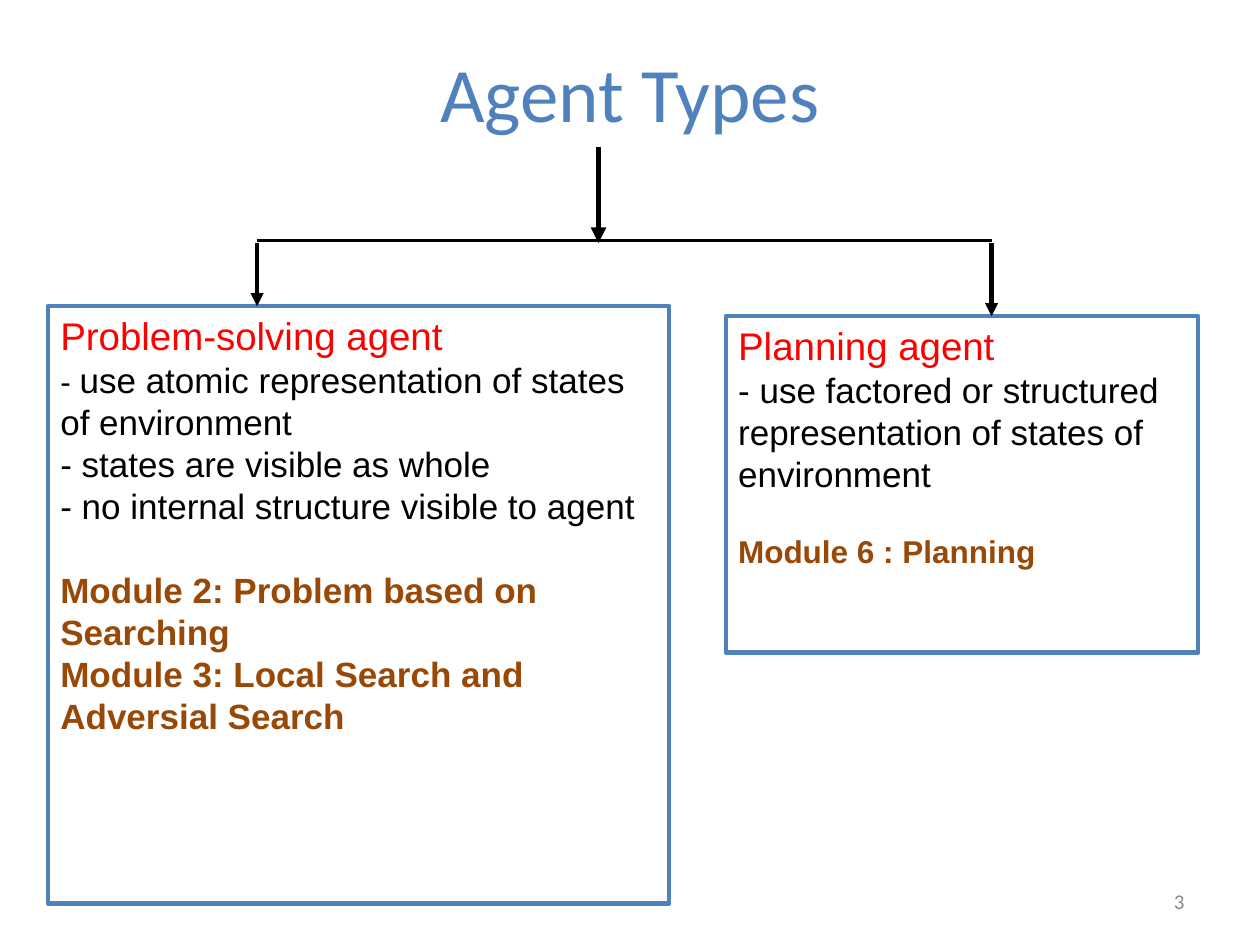
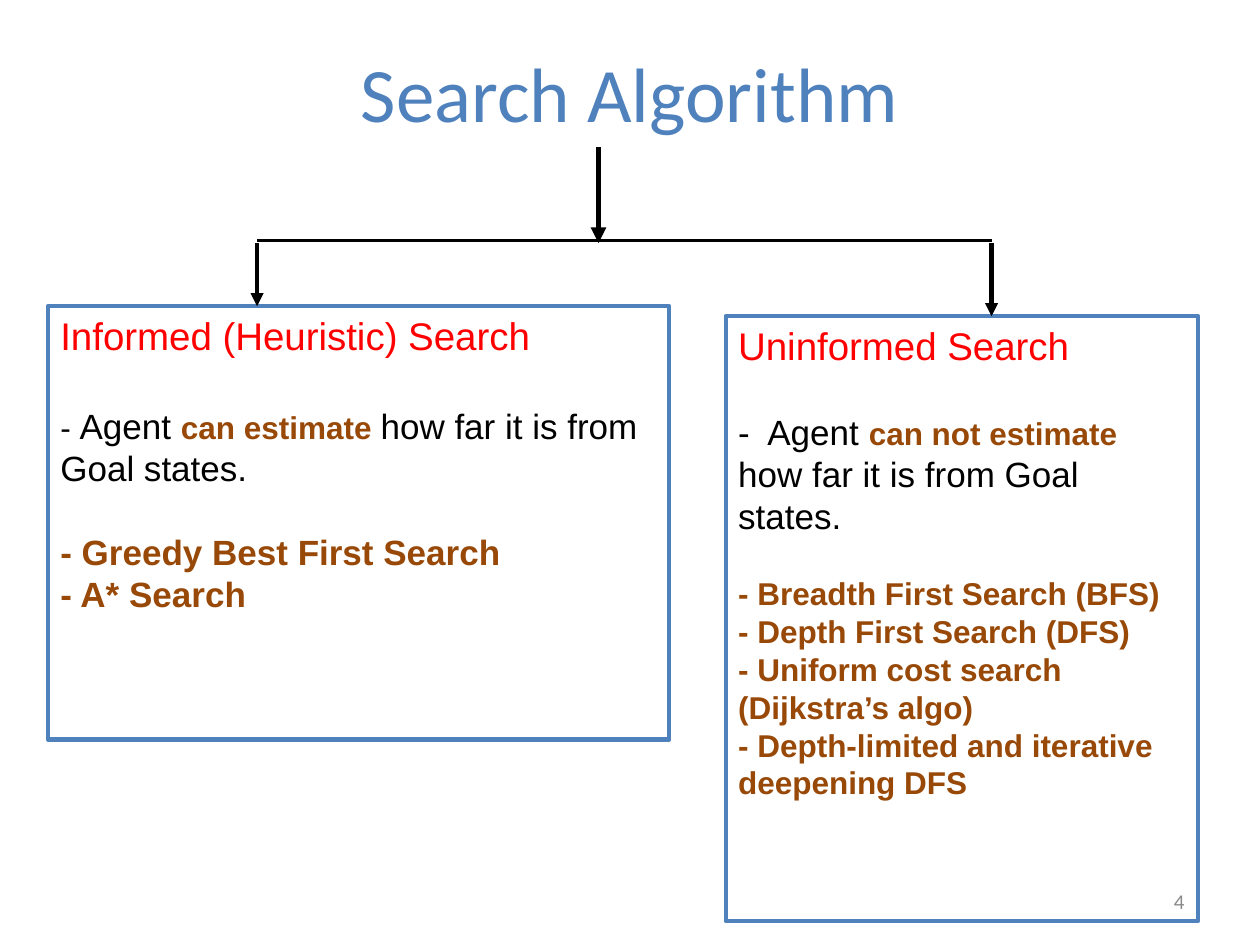
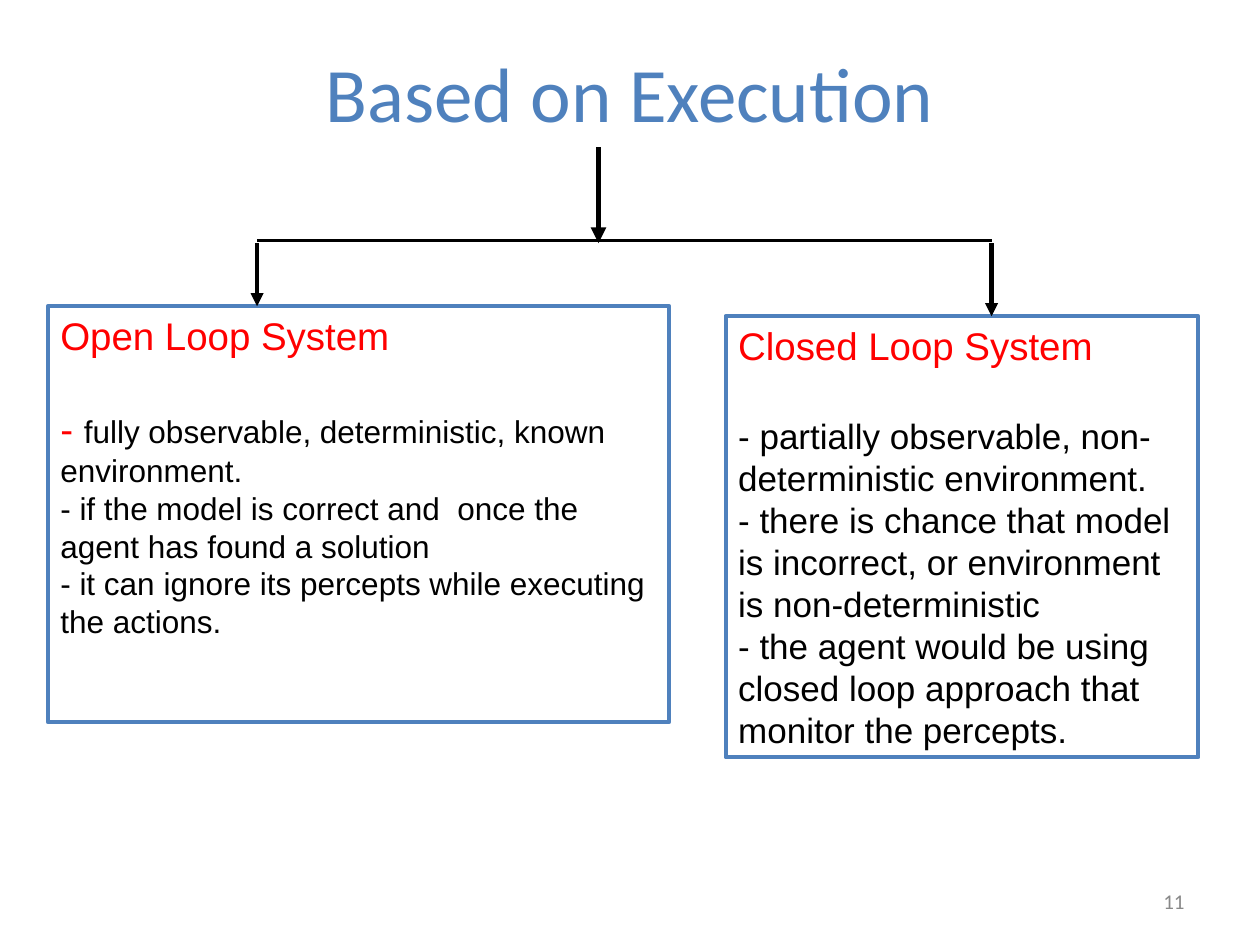
from dataclasses import dataclass, field

from lxml.etree import SubElement
from pptx import Presentation
from pptx.dml.color import RGBColor
from pptx.enum.shapes import MSO_CONNECTOR, MSO_SHAPE
from pptx.enum.text import MSO_ANCHOR, MSO_AUTO_SIZE, PP_ALIGN
from pptx.oxml.ns import qn
from pptx.util import Pt


@dataclass(frozen=True)
class Theme:
    line: str = "000000"
    border: str = "4F81BD"
    line_height: float = 1.2
    styles: dict = field(default_factory=lambda: {
        "title": {"name": "Calibri", "size": 44, "color": "4F81BD", "bold": False},
        "number": {"name": "Calibri", "size": 12, "color": "898989", "bold": False},
        "heading": {"name": "Arial", "size": 22, "color": "FF0000", "bold": False},
        "text": {"name": "Arial", "size": 20, "color": "000000", "bold": False},
        "small": {"name": "Arial", "size": 18, "color": "000000", "bold": False},
        "strong": {"name": "Arial", "size": 20, "color": "984807", "bold": True},
        "strong small": {"name": "Arial", "size": 18, "color": "984807", "bold": True},
    })


THEME = Theme()

# Each paragraph is (gap before, in points of type size, then its runs).
SLIDES = [
    {
        "title": "Agent Types",
        "number": "3",
        "heights": (341.3, 192.2),
        "branches": (
            [
                (0, ("heading", "Problem-solving agent")),
                (0, ("small", "- "),
                 ("text", "use atomic representation of states of environment")),
                (0, ("text", "- states are visible as whole")),
                (0, ("text", "- no internal structure visible to agent")),
                (20, ("strong", "Module 2: Problem based on Searching")),
                (0, ("strong", "Module 3: Local Search and Adversial Search")),
            ],
            [
                (0, ("heading", "Planning agent")),
                (0, ("text", "- use factored or structured representation of states of environment")),
                (18, ("strong small", "Module 6 : Planning")),
            ],
        ),
    },
    {
        "title": "Search Algorithm",
        "number": "4",
        "heights": (247.7, 345.6),
        "branches": (
            [
                (0, ("heading", "Informed (Heuristic) Search")),
                (22, ("small", "- "), ("text", "Agent "), ("strong small", "can estimate "),
                 ("text", "how far it is from Goal states.")),
                (20, ("strong", "- Greedy Best First Search")),
                (0, ("strong", "- A* Search")),
            ],
            [
                (0, ("heading", "Uninformed Search")),
                (20, ("text", "-  Agent "), ("strong small", "can not estimate "),
                 ("text", "how far it is from Goal states.")),
                (18, ("strong small", "- Breadth First Search (BFS)")),
                (0, ("strong small", "- Depth First Search (DFS)")),
                (0, ("strong small", "- Uniform cost search (Dijkstra’s algo)")),
                (0, ("strong small", "- Depth-limited and iterative deepening DFS")),
            ],
        ),
    },
    {
        "title": "Based on Execution",
        "number": "11",
        "heights": (237.6, 252),
        "branches": (
            [
                (0, ("heading", "Open Loop System")),
                (26, ("heading", "- "),
                 ("small", "fully observable, deterministic, known environment.")),
                (0, ("small", "- if the model is correct and  once the agent has found a solution")),
                (0, ("small", "- it can ignore its percepts while executing the actions.")),
            ],
            [
                (0, ("heading", "Closed Loop System")),
                (22, ("text", "- partially observable, non-deterministic environment.")),
                (0, ("text", "- there is chance that model is incorrect, or environment is non-deterministic")),
                (0, ("text", "- the agent would be using closed loop approach that monitor the percepts.")),
            ],
        ),
    },
]

TITLE_AREA = (36, 21.6, 648, 61.9)
NUMBER_AREA = (516.2, 500.4, 167.8, 28.8)
BRANCH_AREAS = ((27.4, 175, 355), (414.7, 180.7, 270))
BRANCH_CENTRES = (146.9, 566.6)
STEM_X, STEM_TOP, STEM_BOTTOM = 342, 84.2, 139
BAR_Y = 137.5


def apply(target, values):
    for name, value in values.items():
        setattr(target, name, value)


def add_run(paragraph, style, text):
    values = dict(THEME.styles[style])
    run = paragraph.add_run()
    run.text = text
    run.font.color.rgb = RGBColor.from_string(values.pop("color"))
    values["size"] = Pt(values["size"])
    apply(run.font, values)


def format_frame(text_frame, anchor):
    apply(text_frame, {
        "word_wrap": True, "auto_size": MSO_AUTO_SIZE.NONE, "vertical_anchor": anchor,
        "margin_left": Pt(7.2), "margin_right": Pt(7.2),
        "margin_top": Pt(3.6), "margin_bottom": Pt(3.6),
    })


def write_label(shape, style, text, alignment):
    format_frame(shape.text_frame, MSO_ANCHOR.MIDDLE)
    paragraph = shape.text_frame.paragraphs[0]
    paragraph.alignment = alignment
    add_run(paragraph, style, text)


def add_line(slide, start, end, width, arrow=True):
    connector = slide.shapes.add_connector(
        MSO_CONNECTOR.STRAIGHT, *(Pt(value) for value in start + end))
    connector.line.color.rgb = RGBColor.from_string(THEME.line)
    connector.line.width = Pt(width)
    if arrow:
        SubElement(connector.line._get_or_add_ln(), qn("a:tailEnd"), type="triangle")
    SubElement(connector._element.spPr, qn("a:effectLst"))


def add_branch(slide, area, height, paragraphs):
    shape = slide.shapes.add_shape(
        MSO_SHAPE.RECTANGLE, *(Pt(value) for value in (*area, height)))
    shape.shadow.inherit = False
    shape.fill.background()
    shape.line.color.rgb = RGBColor.from_string(THEME.border)
    shape.line.width = Pt(2.5)
    text_frame = shape.text_frame
    format_frame(text_frame, MSO_ANCHOR.TOP)
    for index, (gap, *runs) in enumerate(paragraphs):
        paragraph = text_frame.add_paragraph() if index else text_frame.paragraphs[0]
        size = THEME.styles[runs[-1][0]]["size"]
        apply(paragraph, {
            "alignment": PP_ALIGN.LEFT,
            "line_spacing": Pt(size * THEME.line_height),
            "space_before": Pt(gap * THEME.line_height),
        })
        for style, text in runs:
            add_run(paragraph, style, text)


def add_tree_slide(presentation, content):
    slide = presentation.slides.add_slide(presentation.slide_layouts[5])
    title = slide.shapes.title
    apply(title, dict(zip(("left", "top", "width", "height"), map(Pt, TITLE_AREA))))
    write_label(title, "title", content["title"], PP_ALIGN.CENTER)
    number = slide.shapes.add_textbox(*map(Pt, NUMBER_AREA))
    write_label(number, "number", content["number"], PP_ALIGN.RIGHT)

    add_line(slide, (STEM_X, STEM_TOP), (STEM_X, STEM_BOTTOM), 3)
    left, right = BRANCH_CENTRES
    add_line(slide, (left, BAR_Y), (right, BAR_Y), 2, arrow=False)
    for area, centre, height, paragraphs in zip(
            BRANCH_AREAS, BRANCH_CENTRES, content["heights"], content["branches"]):
        add_branch(slide, area, height, paragraphs)
        add_line(slide, (centre, STEM_BOTTOM), (centre, area[1]), 2.5)


def main():
    presentation = Presentation()
    apply(presentation, {"slide_width": Pt(720), "slide_height": Pt(540)})
    for content in SLIDES:
        add_tree_slide(presentation, content)
    presentation.save("out.pptx")


if __name__ == "__main__":
    main()
